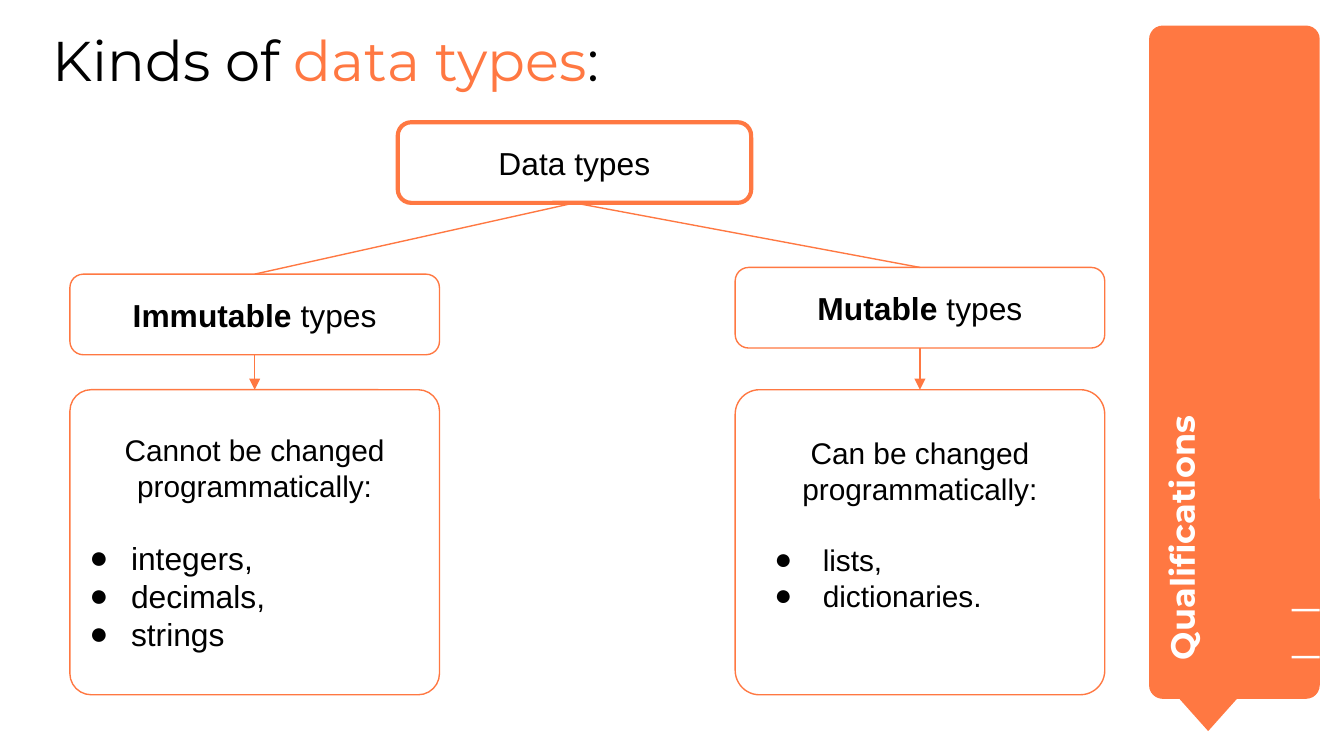
"""Build the slide on kinds of data types, on a grid of 100 columns and square cells of one tenth of an inch."""
from lxml.etree import SubElement
from pptx import Presentation
from pptx.dml.color import RGBColor
from pptx.enum.shapes import MSO_CONNECTOR, MSO_SHAPE
from pptx.enum.text import MSO_ANCHOR, PP_ALIGN
from pptx.oxml.ns import qn
from pptx.util import Inches, Pt

COLORS = {"orange": "FF7842", "white": "FFFFFF", "black": "000000"}
RGB = {name: RGBColor.from_string(value) for name, value in COLORS.items()}

prs = Presentation()
prs.slide_width = Inches(10)
prs.slide_height = prs.slide_width * 9 // 16
s = prs.slides.add_slide(prs.slide_layouts[6])
CELL = prs.slide_width // 100


def add_box(shapes, kind, at, fill, line=0, adj=None):
    left, top, width, height = [round(v * CELL) for v in at]
    sp = shapes.add_shape(kind, left, top, width, height)
    sp.shadow.inherit = False
    sp.fill.solid()
    sp.fill.fore_color.rgb = RGB[fill]
    if line:
        sp.line.color.rgb = RGB["orange"]
        sp.line.width = Pt(line)
    else:
        sp.line.fill.background()
    if adj:
        sp.adjustments[0] = adj
    tf = sp.text_frame
    tf.word_wrap = True
    tf.vertical_anchor = MSO_ANCHOR.MIDDLE
    tf.margin_left = tf.margin_right = tf.margin_top = tf.margin_bottom = CELL
    return sp


def add_run(p, text, size, color="black", font="Arial", bold=False):
    r = p.add_run()
    r.text = text
    r.font.size, r.font.name, r.font.bold = Pt(size), font, bold
    r.font.color.rgb = RGB[color]


title = s.shapes.add_textbox(*[round(v * CELL) for v in (3.9, 1.9, 77.6, 6)])
tf = title.text_frame
tf.word_wrap = True
tf.margin_left = tf.margin_right = tf.margin_top = tf.margin_bottom = 0
for text, color in [("Kinds of ", "black"), ("data types", "orange"), (":", "black")]:
    add_run(tf.paragraphs[0], text, 30, color, "Montserrat")

tag = s.shapes.add_group_shape()
add_box(tag.shapes, MSO_SHAPE.ROUNDED_RECTANGLE, (85.5, 1.9, 12.7, 50.1), "orange", adj=0.08)
add_box(tag.shapes, MSO_SHAPE.FLOWCHART_MERGE, (86.6, 50.7, 6.6, 3.7), "orange")

label = s.shapes.add_textbox(*[round(v * CELL) for v in (70.9, 26.4, 38.2, 9.2)])
label.rotation = 270
tf = label.text_frame
tf.word_wrap = True
tf.margin_left = tf.margin_right = tf.margin_top = tf.margin_bottom = CELL
add_run(tf.paragraphs[0], "Qualifications", 18, "white", "Montserrat", True)

for row in (45.3, 48.8):
    add_box(s.shapes, MSO_SHAPE.RECTANGLE, (96.1, row, 2.1, 0.2), "white")

root = add_box(s.shapes, MSO_SHAPE.ROUNDED_RECTANGLE, (29.6, 9.1, 26.3, 6), "white", 2.25)
p = root.text_frame.paragraphs[0]
p.alignment = PP_ALIGN.CENTER
add_run(p, "Data types", 17)

branches = [
    (5.2, 20.4, "Immutable ", "Cannot be changed programmatically:",
     ["integers,", "decimals,", "strings"], 17, 0.31, -0.37, 0.07, 1),
    (54.7, 19.9, "Mutable ", "Can be changed programmatically:",
     ["lists,", "dictionaries."], 16, 0.5, -0.36, 0.08, 3.7),
]
links = []
for col, row, kind, intro, items, size, margin, indent, adj, bottom in branches:
    head = add_box(s.shapes, MSO_SHAPE.ROUNDED_RECTANGLE, (col, row, 27.5, 6), "white", 0.75)
    p = head.text_frame.paragraphs[0]
    p.alignment = PP_ALIGN.CENTER
    add_run(p, kind, 17, bold=True)
    add_run(p, "types", 17)

    body = add_box(s.shapes, MSO_SHAPE.ROUNDED_RECTANGLE, (col, 29, 27.5, 22.7), "white", 0.75, adj)
    tf = body.text_frame
    tf.margin_bottom = round(bottom * CELL)
    p = tf.paragraphs[0]
    p.alignment = PP_ALIGN.CENTER
    add_run(p, intro, 16)
    for i, item in enumerate(items):
        p = tf.add_paragraph()
        p.alignment = PP_ALIGN.LEFT
        p.space_before = Pt(0 if i else 19)
        pPr = p._p.get_or_add_pPr()
        pPr.set("marL", str(Inches(margin)))
        pPr.set("indent", str(Inches(indent)))
        buClr = SubElement(pPr, qn("a:buClr"))
        SubElement(buClr, qn("a:srgbClr"), val=COLORS["black"])
        SubElement(pPr, qn("a:buFont"), typeface="Arial")
        SubElement(pPr, qn("a:buChar"), char="●")
        add_run(p, item, size)
    links += [(root, head, False), (head, body, True)]

for start, end, arrow in links:
    cx = s.shapes.add_connector(MSO_CONNECTOR.STRAIGHT, 0, 0, 0, 0)
    cx.begin_connect(start, 2)
    cx.end_connect(end, 0)
    cx.line.color.rgb = RGB["orange"]
    cx.line.width = Pt(0.75)
    if arrow:
        SubElement(cx.line._get_or_add_ln(), qn("a:tailEnd"), type="triangle")
    SubElement(cx._element.spPr, qn("a:effectLst"))

prs.save("out.pptx")
